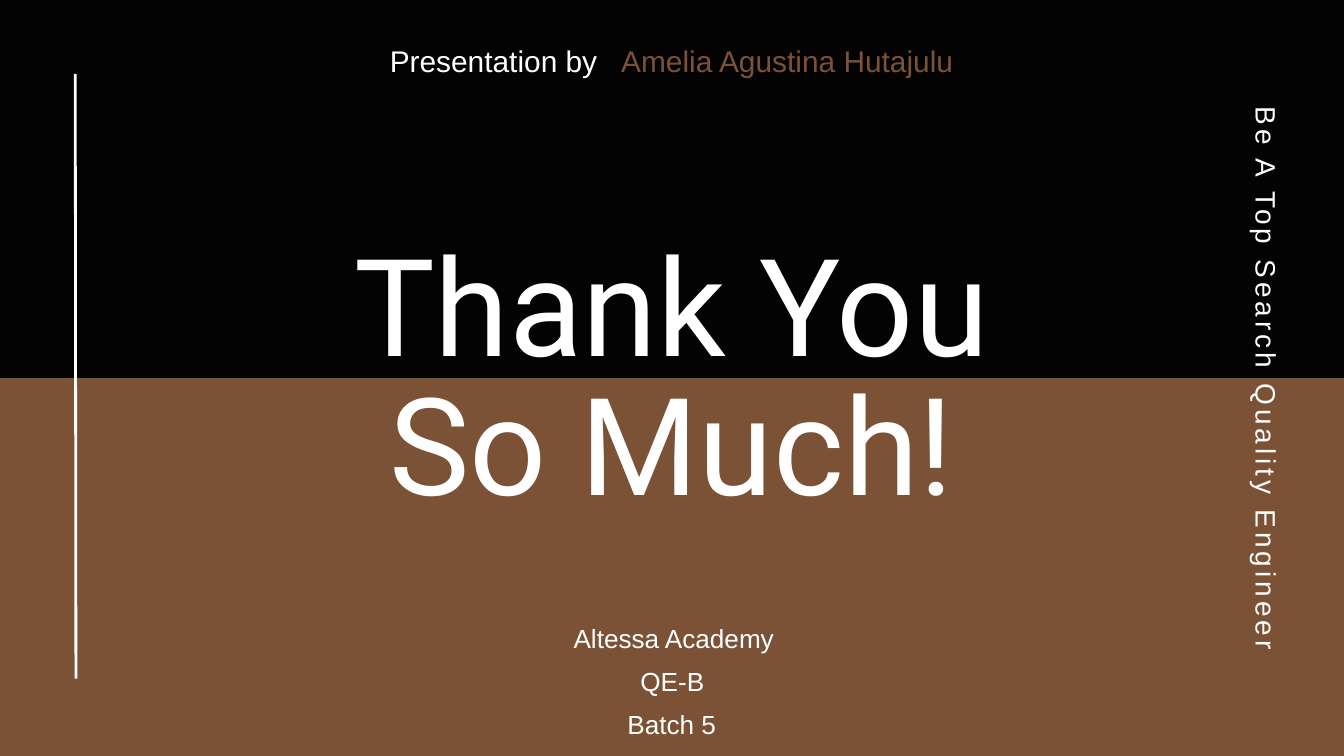
"""Build a closing thank-you slide in black and brown."""
import pptx
import pptx.dml.color
import pptx.enum.shapes
import pptx.enum.text
import pptx.util
from pptx.util import Inches
from lxml import etree

BLACK = pptx.dml.color.RGBColor(0x04, 0x03, 0x03)
BROWN = pptx.dml.color.RGBColor(0x7C, 0x52, 0x37)
WHITE = pptx.dml.color.RGBColor(0xFF, 0xFF, 0xFF)
ALIGN = pptx.enum.text.PP_ALIGN


def write(sp, text, size, spacing, font="Arial", color=WHITE, align=ALIGN.CENTER, tracking=None):
    tf = sp.text_frame
    tf.word_wrap = True
    tf.auto_size = pptx.enum.text.MSO_AUTO_SIZE.NONE
    tf.vertical_anchor = pptx.enum.text.MSO_ANCHOR.TOP
    tf.margin_left = tf.margin_right = tf.margin_top = tf.margin_bottom = 0
    for i, line in enumerate(text.split("\n")):
        p = tf.add_paragraph() if i else tf.paragraphs[0]
        p.alignment = align
        p.line_spacing = pptx.util.Pt(spacing)
        r = p.add_run()
        r.text = line
        r.font.size = pptx.util.Pt(size)
        r.font.name = font
        r.font.color.rgb = color
        if tracking:
            r._r.get_or_add_rPr().set("spc", str(round(tracking * 100)))


prs = pptx.Presentation()
prs.slide_width = Inches(20)
prs.slide_height = Inches(11.25)
s = prs.slides.add_slide(prs.slide_layouts[5])
s.background.fill.solid()
s.background.fill.fore_color.rgb = BROWN

band = s.shapes.add_shape(
    pptx.enum.shapes.MSO_SHAPE.RECTANGLE, 0, 0, prs.slide_width, prs.slide_height // 2
)
band.shadow.inherit = False
band.fill.solid()
band.fill.fore_color.rgb = BLACK
band.line.fill.background()

title = s.shapes.title
title.left, title.top = Inches(3.31), Inches(3.66)
title.width, title.height = Inches(13.37), Inches(4.2)
write(title, "Thank You\nSo Much!", 145.1, 148, font="Roboto")
band._element.addnext(title._element)

rule = s.shapes.add_connector(
    pptx.enum.shapes.MSO_CONNECTOR.STRAIGHT, Inches(1.13), Inches(10.1), Inches(1.12), Inches(1.1)
)
rule.line.color.rgb = WHITE
rule.line.width = pptx.util.Pt(3)
etree.SubElement(rule._element.spPr, pptx.oxml.ns.qn("a:effectLst"))

sp = s.shapes.add_textbox(Inches(5.8), Inches(0.55), Inches(3.75), Inches(0.57))
write(sp, "Presentation by", 32, 44.8, align=ALIGN.LEFT)
sp = s.shapes.add_textbox(Inches(8.24), Inches(0.55), Inches(5.95), Inches(0.57))
write(sp, "Amelia Agustina Hutajulu", 32, 44.8, color=BROWN, align=ALIGN.RIGHT)

for text, left, top, width in (
    ("Altessa Academy", 8.1, 9.18, 3.85),
    ("QE-B", 8.08, 9.82, 3.85),
    ("Batch 5", 8.98, 10.46, 2.03),
):
    sp = s.shapes.add_textbox(Inches(left), Inches(top), Inches(width), Inches(0.54))
    write(sp, text, 28, 39.2)

motto = s.shapes.add_textbox(Inches(14.82), Inches(5.35), Inches(8.18), Inches(0.55))
motto.rotation = 90
write(motto, "Be A Top Search Quality Engineer", 30, 42, tracking=4.2)

prs.save("out.pptx")
